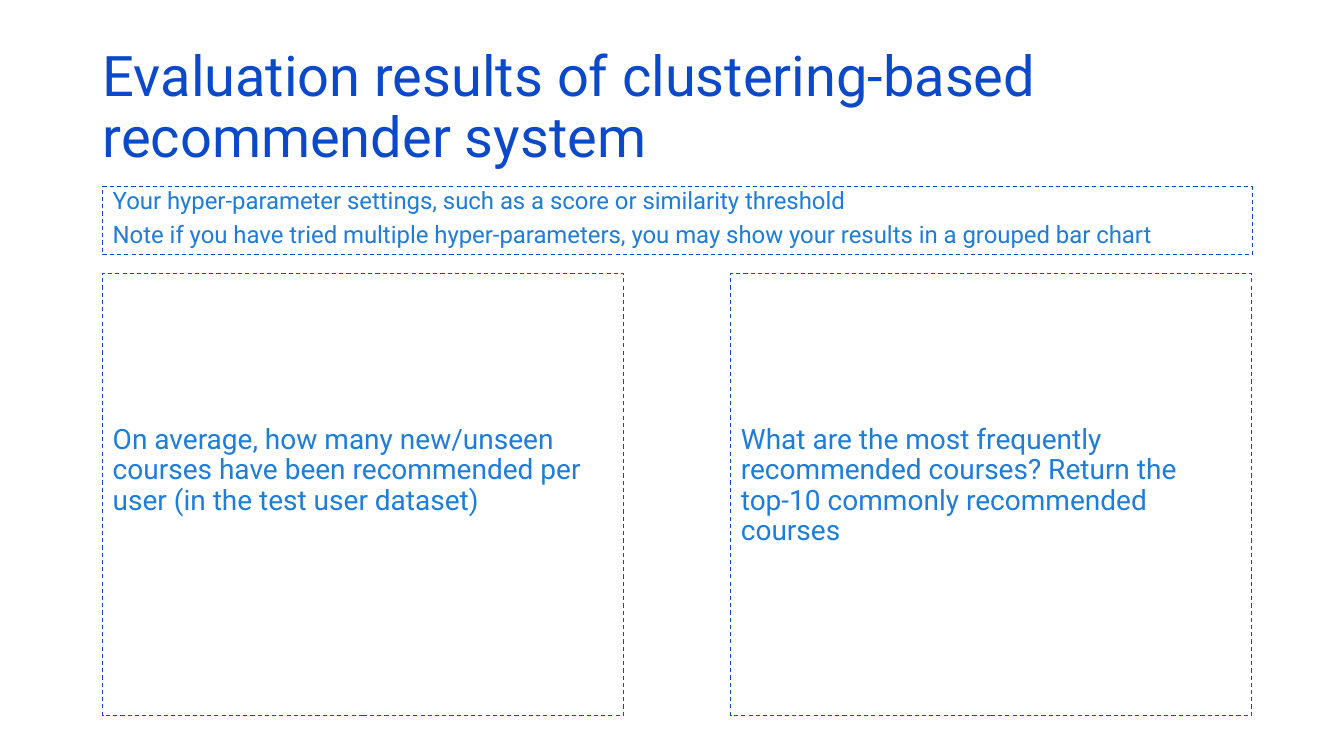
from pptx import Presentation
from pptx.dml.color import RGBColor
from pptx.enum.dml import MSO_LINE
from pptx.enum.shapes import MSO_SHAPE
from pptx.enum.text import MSO_ANCHOR, MSO_AUTO_SIZE, PP_ALIGN
from pptx.util import Pt

PX = 9144
DASH = MSO_LINE.DASH
RECT = MSO_SHAPE.RECTANGLE
TOP, MIDDLE = MSO_ANCHOR.TOP, MSO_ANCHOR.MIDDLE
NO_FIT = MSO_AUTO_SIZE.NONE
LEFT = PP_ALIGN.LEFT
COLORS = {"title": "0B49CB", "line": "0B49CB", "body": "1C7DDB"}
FONT = "Roboto"


def apply(target, values):
    for name, value in values.items():
        setattr(target, name, value)


class SlideBuilder:
    def __init__(self, prs):
        self.s = prs.slides.add_slide(prs.slide_layouts[5])

    def color(self, name):
        return RGBColor.from_string(COLORS[name])

    def text(self, sp, lines, size, color, spacing, anchor, inset_top=5):
        tf = sp.text_frame
        apply(tf, {"word_wrap": True, "auto_size": NO_FIT,
                   "vertical_anchor": anchor,
                   "margin_left": 10 * PX, "margin_right": 10 * PX,
                   "margin_top": inset_top * PX, "margin_bottom": 5 * PX})
        for i, line in enumerate(lines):
            p = tf.add_paragraph() if i else tf.paragraphs[0]
            apply(p, {"alignment": LEFT, "line_spacing": spacing,
                      "space_before": Pt(10 if i else 0)})
            r = p.add_run()
            r.text = line
            apply(r.font, {"name": FONT, "size": Pt(size)})
            r.font.color.rgb = self.color(color)

    def title(self, box, text):
        sp = self.s.shapes.title
        apply(sp, dict(zip(("left", "top", "width", "height"),
                           (v * PX for v in box))))
        self.text(sp, [text], 40, "title", 0.9, TOP, 8)

    def panel(self, box, lines, size, spacing, anchor, inset_top=5):
        sp = self.s.shapes.add_shape(RECT, *(v * PX for v in box))
        sp.shadow.inherit = False
        sp.fill.background()
        sp.line.color.rgb = self.color("line")
        apply(sp.line, {"width": Pt(0.75), "dash_style": DASH})
        self.text(sp, lines, size, "body", spacing, anchor, inset_top)


def main():
    prs = Presentation()
    apply(prs, {"slide_width": 1333 * PX, "slide_height": 750 * PX})
    slide = SlideBuilder(prs)
    slide.title((92, 40, 1150, 145),
                "Evaluation results of clustering-based recommender system")
    questions = {
        725: "What are the most frequently recommended courses? "
             "Return the top-10 commonly recommended courses",
        102: "On average, how many new/unseen courses have been "
             "recommended per user (in the test user dataset)",
    }
    for left, question in questions.items():
        slide.panel((left, 271, 516, 439), [question], 20, 0.9, TOP, 151)
    slide.panel((102, 185, 1140, 68), [
        "Your hyper-parameter settings, such as a score or similarity threshold",
        "Note if you have tried multiple hyper-parameters, "
        "you may show your results in a grouped bar chart",
    ], 17.1, 0.7, MIDDLE)
    prs.save("out.pptx")


if __name__ == "__main__":
    main()
